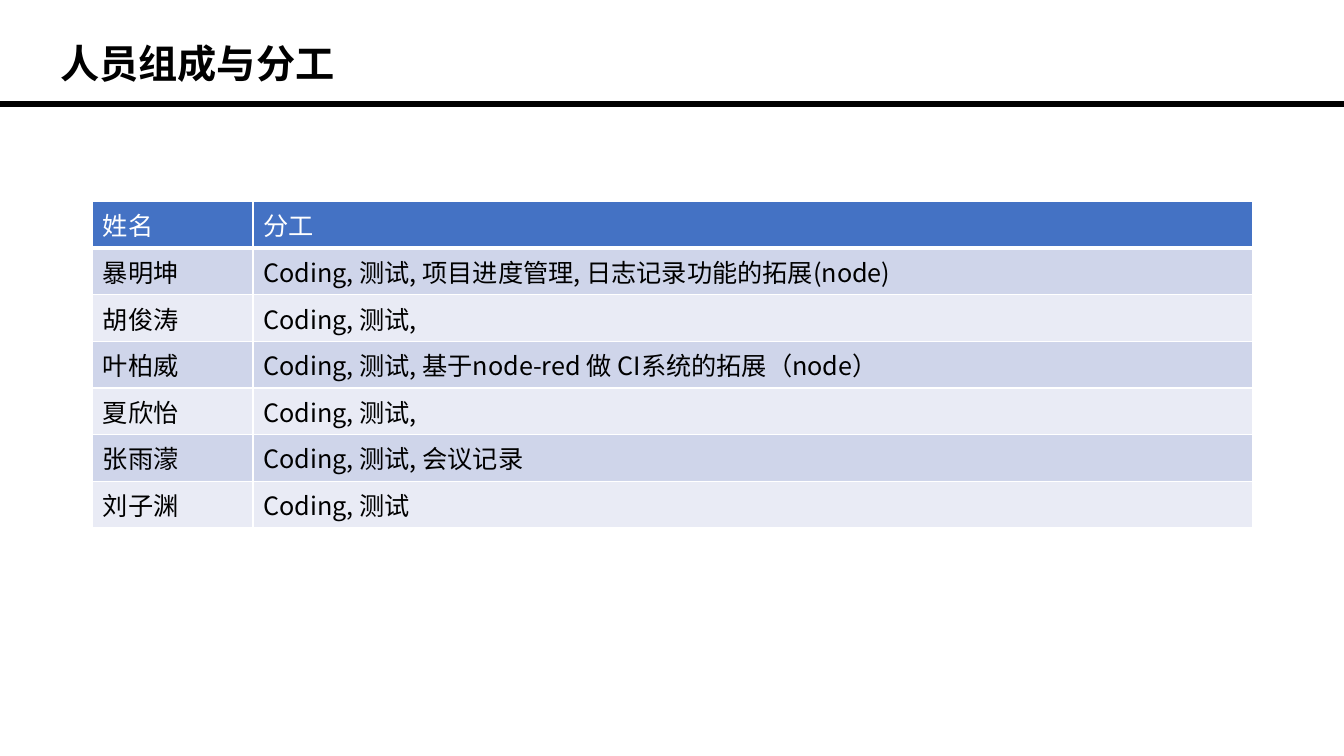
from dataclasses import dataclass

from lxml import etree
from pptx import Presentation, util as u
from pptx.dml.color import RGBColor
from pptx.enum import shapes, text
from pptx.oxml import ns


@dataclass(frozen=True)
class Theme:
    font: str = "Noto Sans CJK SC"
    ink: str = "000000"
    paper: str = "FFFFFF"
    header: str = "4472C4"
    bands: tuple = ("CFD5EA", "E9EBF5")
    title_size: int = 28
    body_size: int = 18
    rule_width: int = 4
    grid_width: int = 1
    header_rule_width: int = 3


THEME = Theme()
PAGE_WIDTH, PAGE_HEIGHT = 13.33, 7.5
COLUMN_WIDTHS = (1.59, 9.91)
ROW_HEIGHT = 0.4
HEADINGS = ("姓名", "分工")
MEMBERS = (
    ("暴明坤", "Coding, 测试, 项目进度管理, 日志记录功能的拓展(node)"),
    ("胡俊涛", "Coding, 测试,"),
    ("叶柏威", "Coding, 测试, 基于node-red 做 CI系统的拓展（node）"),
    ("夏欣怡", "Coding, 测试,"),
    ("张雨濛", "Coding, 测试, 会议记录"),
    ("刘子渊", "Coding, 测试"),
)


def add_span(para, words, size, color, bold=False):
    span = para.add_run()
    span.text = words
    span.font.size = u.Pt(size)
    span.font.bold = bold
    span.font.color.rgb = RGBColor.from_string(color)
    span.font.name = THEME.font
    properties = span.font._element if hasattr(span.font, "_element") else span._r.get_or_add_rPr()
    etree.SubElement(properties, ns.qn("a:ea"), typeface=THEME.font)


def add_borders(cell, bottom_width):
    properties = cell._tc.get_or_add_tcPr()
    widths = {"L": THEME.grid_width, "R": THEME.grid_width,
              "T": THEME.grid_width, "B": bottom_width}
    for side, width in widths.items():
        border = etree.SubElement(properties, ns.qn(f"a:ln{side}"), w=str(u.Pt(width)))
        fill = etree.SubElement(border, ns.qn("a:solidFill"))
        etree.SubElement(fill, ns.qn("a:srgbClr"), val=THEME.paper)


def add_title(page, left, top, width, height, words):
    box = page.shapes.add_textbox(*map(u.Inches, (left, top, width, height)))
    frame = box.text_frame
    frame.word_wrap = False
    frame.auto_size = text.MSO_AUTO_SIZE.SHAPE_TO_FIT_TEXT
    add_span(frame.paragraphs[0], words, THEME.title_size, THEME.ink, bold=True)


def add_rule(page, left, top, width):
    rule = page.shapes.add_connector(
        shapes.MSO_CONNECTOR.STRAIGHT,
        u.Inches(left), u.Inches(top), u.Inches(left + width), u.Inches(top))
    rule.line.color.rgb = RGBColor.from_string(THEME.ink)
    rule.line.width = u.Pt(THEME.rule_width)
    etree.SubElement(rule._element.spPr, ns.qn("a:effectLst"))


def add_members(page, left, top):
    rows = (HEADINGS, *MEMBERS)
    table = page.shapes.add_table(
        len(rows), len(HEADINGS), u.Inches(left), u.Inches(top),
        u.Inches(sum(COLUMN_WIDTHS)), u.Inches(ROW_HEIGHT * len(rows))).table
    for column, width in zip(table.columns, COLUMN_WIDTHS):
        column.width = u.Inches(width)
    for index, row in enumerate(rows):
        is_header = index == 0
        table.rows[index].height = u.Inches(ROW_HEIGHT)
        fill = THEME.header if is_header else THEME.bands[(index - 1) % 2]
        color = THEME.paper if is_header else THEME.ink
        bottom = THEME.header_rule_width if is_header else THEME.grid_width
        for cell, words in zip(table.rows[index].cells, row):
            add_borders(cell, bottom)
            cell.fill.solid()
            cell.fill.fore_color.rgb = RGBColor.from_string(fill)
            add_span(cell.text_frame.paragraphs[0], words, THEME.body_size, color)


def main():
    deck = Presentation()
    deck.slide_width = u.Inches(PAGE_WIDTH)
    deck.slide_height = u.Inches(PAGE_HEIGHT)
    page = deck.slides.add_slide(deck.slide_layouts[6])
    add_members(page, 0.92, 2)
    add_title(page, 0.5, 0.34, 2.95, 0.57, "人员组成与分工")
    add_rule(page, 0, 1.03, PAGE_WIDTH)
    deck.save("out.pptx")


if __name__ == "__main__":
    main()
